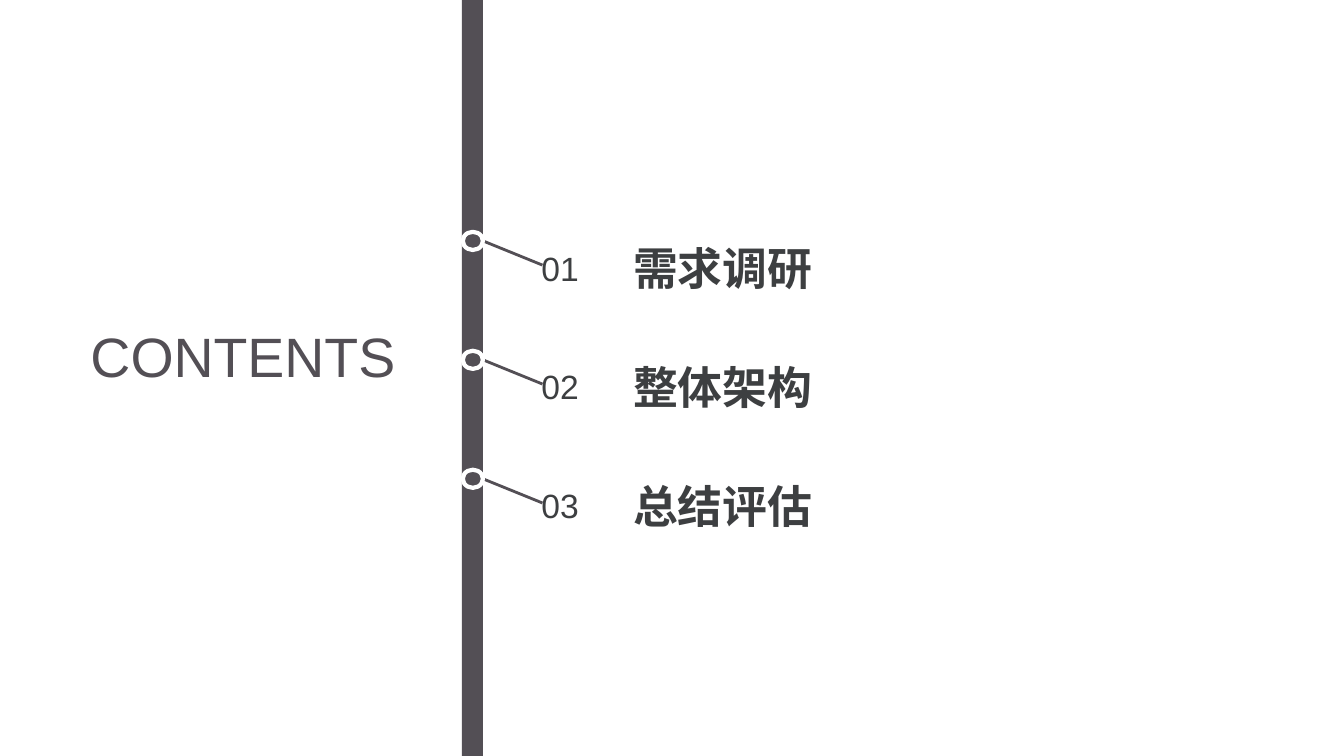
"""Build a contents slide with three numbered chapters along a vertical bar."""
from dataclasses import dataclass

import pptx
import pptx.dml.color
import pptx.enum.shapes
import pptx.enum.text
import pptx.oxml
import pptx.util
from pptx.util import Inches


@dataclass(frozen=True)
class Theme:
    font: str = "Arial"
    bar: str = "534F55"
    text: str = "3D3F41"
    white: str = "FFFFFF"
    title_size: float = 39.6
    chapter_size: float = 32
    number_size: float = 24


theme = Theme()
rgb = pptx.dml.color.RGBColor.from_string
Align = pptx.enum.text.PP_ALIGN
Preset = pptx.enum.shapes.MSO_SHAPE


def write_text(shape, text, size, color, alignment, bold=False, inset=0):
    frame = shape.text_frame
    frame.word_wrap = True
    frame.auto_size = pptx.enum.text.MSO_AUTO_SIZE.NONE
    frame.vertical_anchor = pptx.enum.text.MSO_ANCHOR.MIDDLE
    frame.margin_left = frame.margin_right = Inches(inset)
    frame.margin_top = frame.margin_bottom = Inches(inset / 2)
    paragraph = frame.paragraphs[0]
    paragraph.alignment = alignment
    paragraph.line_spacing = 1.1
    run = paragraph.add_run()
    run.text = text
    run.font.name = theme.font
    run.font.size = pptx.util.Pt(size)
    run.font.bold = bold
    run.font.color.rgb = rgb(color)


def add_bar_shape(slide, preset, left, top, width, height):
    shape = slide.shapes.add_shape(
        preset, Inches(left), Inches(top), Inches(width), Inches(height))
    shape.shadow.inherit = False
    shape.fill.solid()
    shape.fill.fore_color.rgb = rgb(theme.bar)
    shape.line.fill.background()
    return shape


presentation = pptx.Presentation()
presentation.slide_width = Inches(13.33)
presentation.slide_height = Inches(7.5)
slide = presentation.slides.add_slide(presentation.slide_layouts[5])

title = slide.shapes.title
title.left, title.top = Inches(0.73), Inches(2.89)
title.width, title.height = Inches(3.36), Inches(1.21)
write_text(title, "CONTENTS", theme.title_size, theme.bar, Align.CENTER, inset=0.1)

add_bar_shape(slide, Preset.RECTANGLE, 4.58, 0, 0.21, 7.53)

first_top, chapter_pitch = 2.3, 1.18
for index, chapter in enumerate(["需求调研", "整体架构", "总结评估"]):
    top = first_top + index * chapter_pitch

    connector = slide.shapes.add_connector(
        pptx.enum.shapes.MSO_CONNECTOR.STRAIGHT,
        Inches(4.79), Inches(top + 0.09), Inches(5.38), Inches(top + 0.33))
    connector.line.color.rgb = rgb(theme.bar)
    connector.line.width = pptx.util.Pt(2)
    connector._element.spPr.append(pptx.oxml.parse_xml(
        '<a:effectLst xmlns:a="http://schemas.openxmlformats.org/drawingml/2006/main"/>'))

    marker = add_bar_shape(slide, Preset.OVAL, 4.59, top, 0.2, 0.18)
    marker.line.color.rgb = rgb(theme.white)
    marker.line.width = pptx.util.Pt(3)

    chapter_box = slide.shapes.add_textbox(
        Inches(6.28), Inches(top + 0.06), Inches(4.87), Inches(0.53))
    write_text(chapter_box, chapter, theme.chapter_size, theme.text, Align.JUSTIFY, bold=True)

    number_box = slide.shapes.add_textbox(
        Inches(5.2), Inches(top + 0.1), Inches(0.71), Inches(0.47))
    write_text(number_box, f"{index + 1:02d}", theme.number_size, theme.text, Align.CENTER)

presentation.save("out.pptx")
